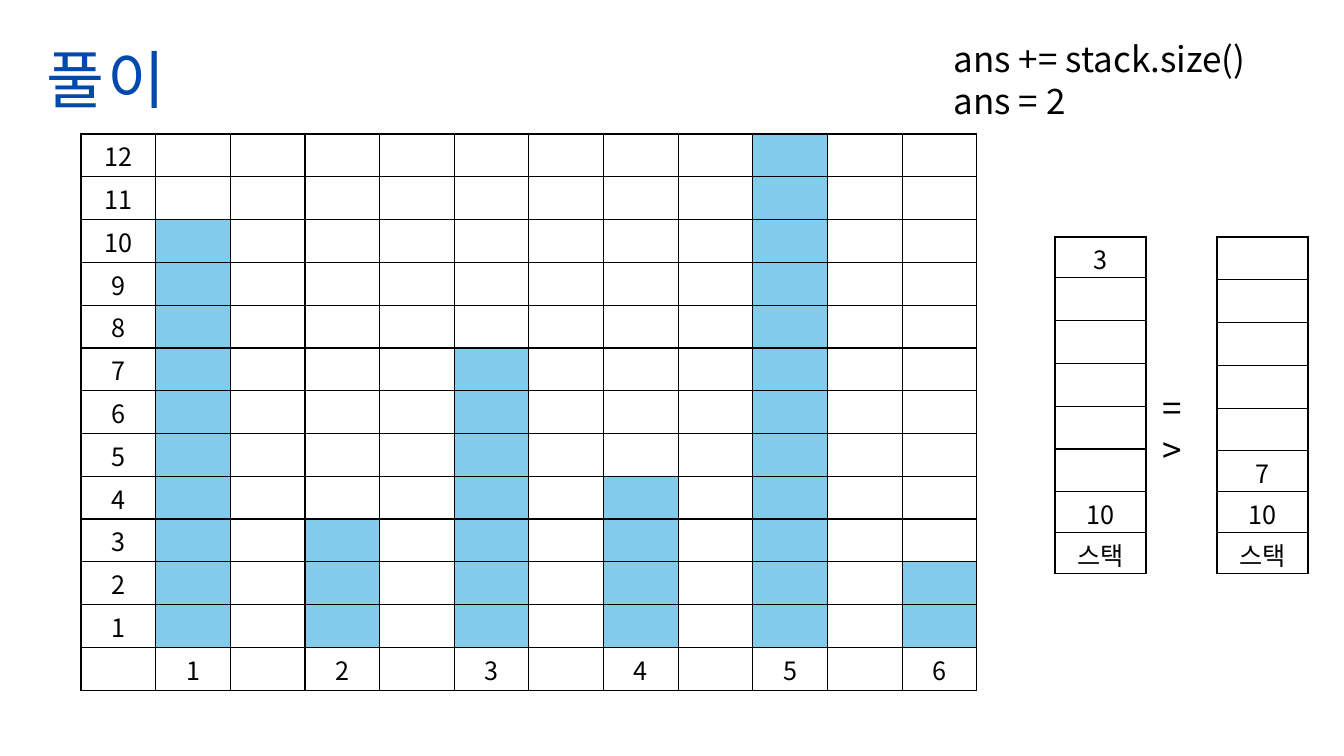
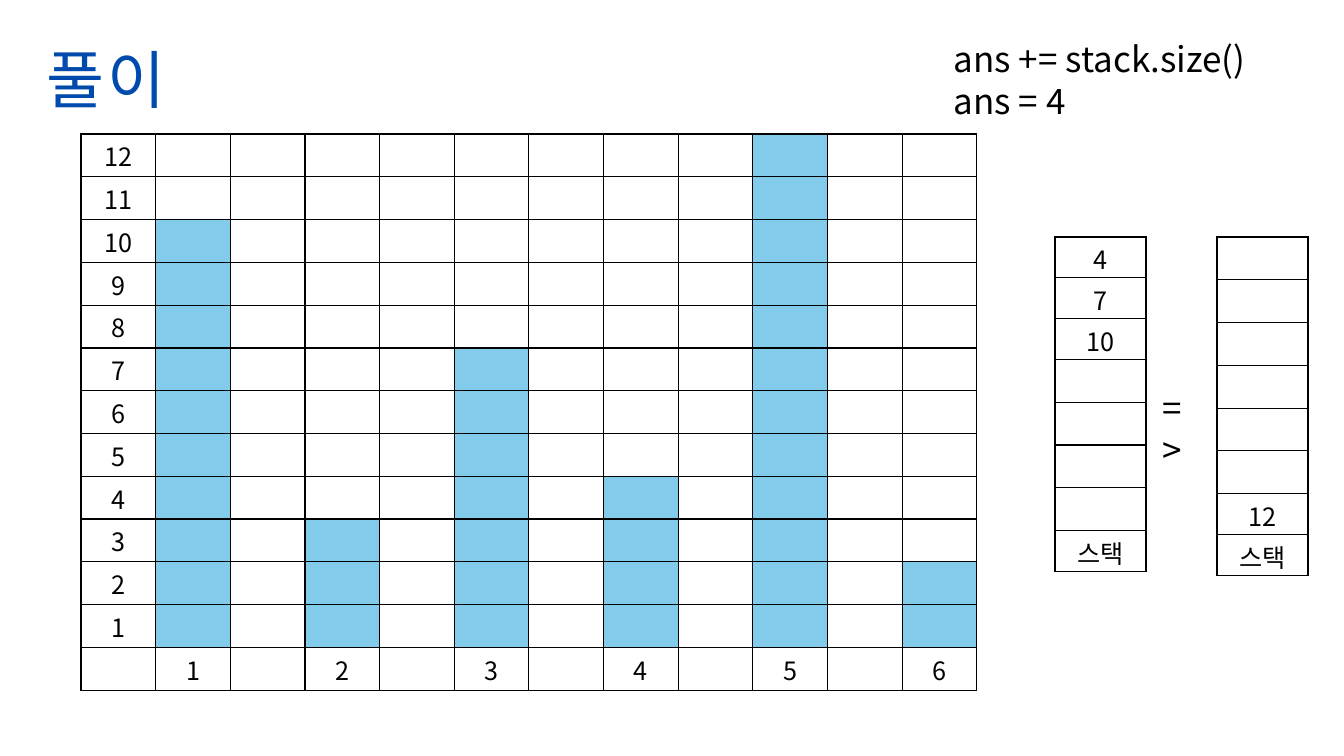
from lxml.etree import SubElement
from pptx import Presentation
from pptx.dml.color import RGBColor
from pptx.enum.text import MSO_ANCHOR as Anchor, MSO_AUTO_SIZE as AutoSize, PP_ALIGN as Align
from pptx.oxml.ns import qn
from pptx.util import Emu, Pt

PX_PER_INCH = 100.8
FONT = "Noto Sans CJK KR"
BLUE, SKY, BLACK = "004AAD", "83CBEB", "000000"
TITLE_ONLY = 5
BAR_HEIGHTS = [10, 3, 7, 4, 12, 2]
LEVELS = 12
STACK_SLOTS = 7
STEPS = [
    {"answer": 2, "before": {0: 3, 6: 10}, "after": {5: 7, 6: 10}},
    {"answer": 4, "before": {0: 4, 1: 7, 2: 10}, "after": {6: 12}},
]


def px(length):
    return Emu(round(length * 914400 / PX_PER_INCH))


def color(hex_string):
    return RGBColor.from_string(hex_string)


def write(frame, text, size, line, ink=BLACK, align=Align.LEFT, spacing=0):
    for index, content in enumerate(text.split("\n")):
        para = frame.paragraphs[0] if index == 0 else frame.add_paragraph()
        para.alignment = align
        para.line_spacing = Pt(line)
        if not content:
            continue
        span = para.add_run()
        span.text = content
        span.font.size = Pt(size)
        span.font.name = FONT
        span.font.color.rgb = color(ink)
        properties = span.font._element
        SubElement(properties, qn("a:ea"), typeface=FONT)
        if spacing:
            properties.set("spc", str(round(spacing * 100)))


def add_title(page, text):
    title = page.shapes.title
    title.left, title.top, title.width, title.height = map(px, (34, 0, 145, 116))
    frame = title.text_frame
    frame.margin_left = frame.margin_right = frame.margin_top = frame.margin_bottom = 0
    frame.auto_size = AutoSize.NONE
    frame.vertical_anchor = Anchor.TOP
    write(frame, text, 45, 83, ink=BLUE, align=Align.CENTER, spacing=2.2)


def add_text(page, text, left, top, width, height):
    box = page.shapes.add_textbox(px(left), px(top), px(width), px(height))
    box.text_frame.word_wrap = True
    write(box.text_frame, text, 25, 30)


def set_borders(cell):
    properties = cell._tc.get_or_add_tcPr()
    for side in ("lnL", "lnR", "lnT", "lnB"):
        border = SubElement(properties, qn(f"a:{side}"), w=str(Pt(1)))
        fill = SubElement(border, qn("a:solidFill"))
        SubElement(fill, qn("a:srgbClr"), val=BLACK)


def format_cell(cell, text, fill):
    cell.margin_top, cell.margin_bottom = px(12), 0
    cell.vertical_anchor = Anchor.TOP
    set_borders(cell)
    if fill:
        cell.fill.solid()
        cell.fill.fore_color.rgb = color(fill)
    else:
        cell.fill.background()
    write(cell.text_frame, text, 18, 20, align=Align.CENTER)


def add_grid(page, rows, left, top, width, height, filled=frozenset()):
    table = page.shapes.add_table(
        len(rows), len(rows[0]), px(left), px(top), px(width), px(height)
    ).table
    table.first_row = table.horz_banding = False
    for column in table.columns:
        column.width = px(width / len(rows[0]))
    for row_index, texts in enumerate(rows):
        table.rows[row_index].height = px(height / len(rows))
        for column_index, text in enumerate(texts):
            place = (row_index, column_index)
            format_cell(table.cell(*place), text, SKY if place in filled else None)


def add_bars(page):
    columns = 2 * len(BAR_HEIGHTS)
    rows = [[str(level)] + [""] * (columns - 1) for level in range(LEVELS, 0, -1)]
    rows.append([str((column + 1) // 2) if column % 2 else "" for column in range(columns)])
    filled = {
        (row, 2 * index + 1)
        for index, bar in enumerate(BAR_HEIGHTS)
        for row in range(LEVELS - bar, LEVELS)
    }
    add_grid(page, rows, 81, 134, 896, 531, filled)


def add_stack(page, values, left):
    rows = [[str(values.get(slot, ""))] for slot in range(STACK_SLOTS)] + [["스택"]]
    add_grid(page, rows, left, 237, 91, 327)


def add_step(deck, answer, before, after):
    page = deck.slides.add_slide(deck.slide_layouts[TITLE_ONLY])
    add_title(page, "풀이")
    add_bars(page)
    add_stack(page, before, 1055)
    add_stack(page, after, 1217)
    add_text(page, "=>", 1153, 382, 57, 94)
    add_text(page, f"ans += stack.size()\nans = {answer}", 944, 33, 397, 95)


def main():
    deck = Presentation()
    deck.slide_width, deck.slide_height = px(1344), px(756)
    for step in STEPS:
        add_step(deck, **step)
    deck.save("out.pptx")


if __name__ == "__main__":
    main()
